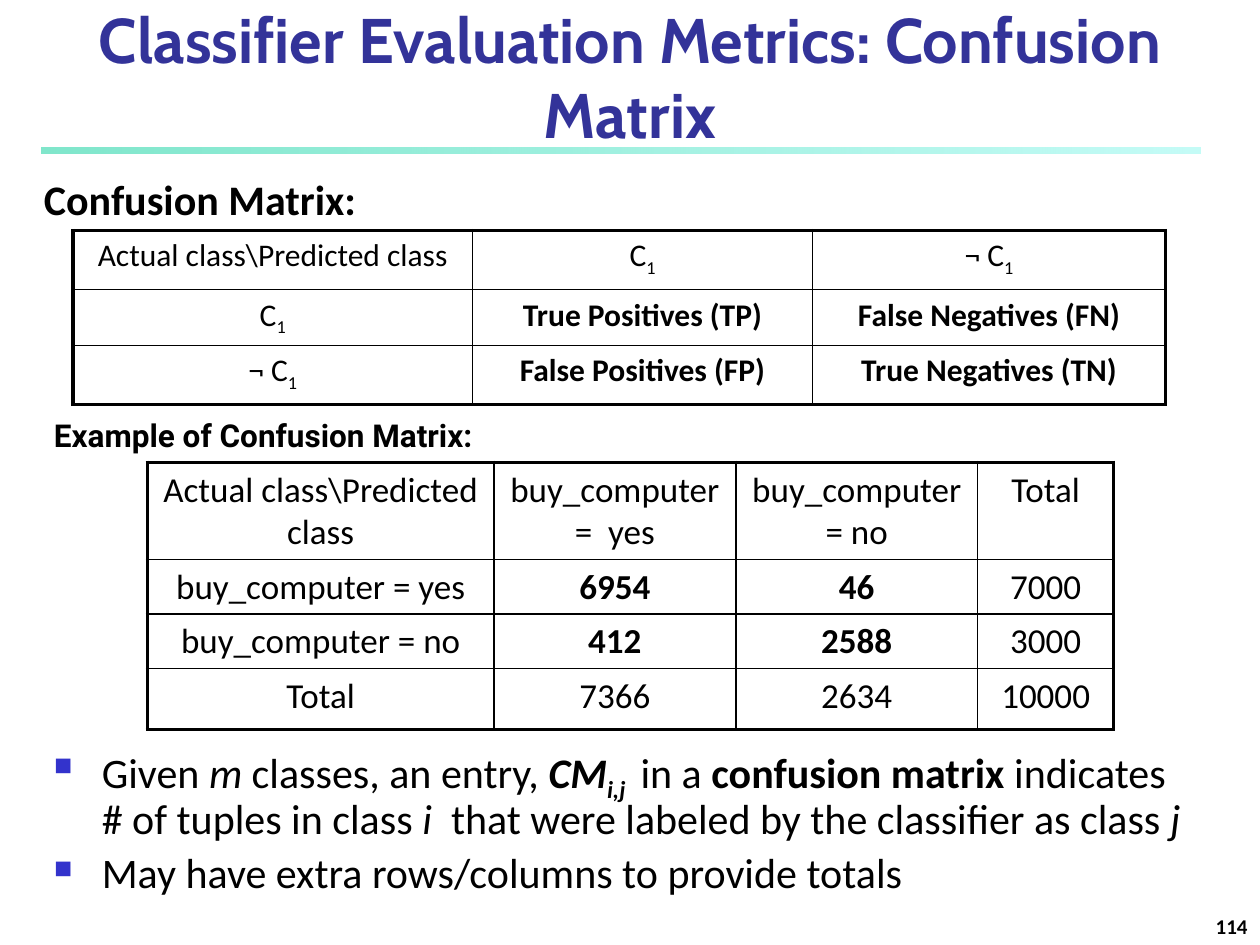
from lxml.etree import SubElement
from pptx import Presentation
from pptx.dml.color import RGBColor
from pptx.enum.shapes import MSO_SHAPE
from pptx.enum.text import MSO_ANCHOR, PP_ALIGN
from pptx.oxml import parse_xml
from pptx.oxml.ns import nsdecls, qn
from pptx.util import Inches, Pt

COLORS = {"text": "000000", "title": "333399", "bullet": "3333CC",
          "bar_start": "00CE98", "bar_end": "8FF9EF"}

# Each paragraph is a list of (text, style): b bold, i italic, s subscript
C1 = [("C", ""), ("1", "s")]
NOT_C1 = [("¬ C", ""), ("1", "s")]
MATRIX = [
    [[("Actual class\\Predicted class", "")], C1, NOT_C1],
    [C1, [("True Positives (TP)", "b")], [("False Negatives (FN)", "b")]],
    [NOT_C1, [("False Positives (FP)", "b")], [("True Negatives (TN)", "b")]],
]
EXAMPLE = [
    [[("Actual class\\Predicted class", "")], [("buy_computer =  yes", "")],
     [("buy_computer = no", "")], [("Total", "")]],
    [[("buy_computer = yes", "")], [("6954", "b")], [("46", "b")], [("7000", "")]],
    [[("buy_computer = no", "")], [("412", "b")], [("2588", "b")], [("3000", "")]],
    [[("Total", "")], [("7366", "")], [("2634", "")], [("10000", "")]],
]
TABLES = [
    (MATRIX, 0.58, 1.83, [3.17, 2.7, 2.8], [0.47, 0.42, 0.47], 18),
    (EXAMPLE, 1.17, 3.67, [2.75, 1.92, 1.92, 1.08], [0.77, 0.43, 0.43, 0.48], 20),
]
BULLETS = [
    [("Given", ""), (" m", "i"), (" classes, an entry, ", ""), ("CM", "bi"),
     ("i,j ", "bis"), (" in a ", ""), ("confusion matrix", "b"),
     (" indicates # of tuples in class ", ""), ("i", "i"),
     ("  that were labeled by the classifier as class ", ""), ("j", "i")],
    [("May have extra rows/columns to provide totals", "")],
]
LEFT, CENTER, RIGHT = PP_ALIGN.LEFT, PP_ALIGN.CENTER, PP_ALIGN.RIGHT
TOP, BOTTOM = MSO_ANCHOR.TOP, MSO_ANCHOR.BOTTOM
LABELS = [
    ("Classifier Evaluation Metrics: Confusion Matrix", (0, 0, 10, 1.25),
     36, "Cabin", "title", CENTER, BOTTOM, True),
    ("Confusion Matrix:", (0.25, 1.33, 2.85, 0.5),
     24, "Calibri", "text", LEFT, TOP, True),
    ("Example of Confusion Matrix:", (0.33, 3.25, 3.9, 0.4),
     18, "Roboto", "text", LEFT, TOP, False),
    ("114", (7.92, 7.08, 2.08, 0.42),
     12, "Calibri", "text", RIGHT, BOTTOM, True),
]


def write(paragraph, spans, size, font="Calibri", color="text"):
    for text, style in spans:
        span = paragraph.add_run()
        span.text = text
        span.font.size = Pt(size)
        span.font.name = font
        span.font.bold = "b" in style
        span.font.italic = "i" in style
        span.font.color.rgb = RGBColor.from_string(COLORS[color])
        if "s" in style:
            span.font._element.set("baseline", "-25000")


def add_box(page, place, anchor=TOP, wrap=True):
    box = page.shapes.add_textbox(*map(Inches, place))
    box.text_frame.word_wrap = wrap
    box.text_frame.vertical_anchor = anchor
    return box.text_frame


def set_borders(cell, widths):
    properties = cell._tc.get_or_add_tcPr()
    for index, (side, width) in enumerate(widths.items()):
        properties.insert(index, parse_xml(
            f'<a:ln{side} {nsdecls("a")} w="{Pt(width)}"><a:solidFill>'
            f'<a:srgbClr val="{COLORS["text"]}"/></a:solidFill></a:ln{side}>'))


def add_grid(page, content, left, top, columns, heights, size):
    table = page.shapes.add_table(
        len(heights), len(columns), Inches(left), Inches(top),
        Inches(sum(columns)), Inches(sum(heights))).table
    table.first_row = table.horz_banding = False
    for column, width in zip(table.columns, columns):
        column.width = Inches(width)
    last_row, last_column = len(heights) - 1, len(columns) - 1
    for r, (row, height) in enumerate(zip(content, heights)):
        table.rows[r].height = Inches(height)
        for c, spans in enumerate(row):
            cell = table.cell(r, c)
            cell.fill.background()
            outer = {"L": c == 0, "R": c == last_column,
                     "T": r == 0, "B": r == last_row}
            set_borders(cell, {side: 2.25 if edge else 1
                               for side, edge in outer.items()})
            paragraph = cell.text_frame.paragraphs[0]
            paragraph.alignment = CENTER
            paragraph.space_before = Pt(size * 0.2)
            write(paragraph, spans, size)


def add_bar(page):
    bar = page.shapes.add_shape(
        MSO_SHAPE.RECTANGLE, Inches(0.33), Inches(1.17), Inches(9.2), Inches(0.05))
    bar.shadow.inherit = False
    bar.line.fill.background()
    bar.fill.gradient()
    bar.fill.gradient_angle = 0
    stops = [("bar_start", 0, 50), ("bar_end", 1, 52)]
    for stop, (color, position, opacity) in zip(bar.fill.gradient_stops, stops):
        stop.position = position
        stop.color.rgb = RGBColor.from_string(COLORS[color])
        SubElement(stop._gs[0], qn("a:alpha"), val=str(opacity * 1000))


def add_bullets(page):
    frame = add_box(page, (0.33, 5.88, 9.25, 1.38))
    for index, spans in enumerate(BULLETS):
        paragraph = frame.add_paragraph() if index else frame.paragraphs[0]
        paragraph.line_spacing = 0.9
        paragraph.space_before = Pt(24 * 0.2)
        properties = paragraph._p.get_or_add_pPr()
        properties.set("marL", str(Inches(0.38)))
        properties.set("indent", str(-Inches(0.38)))
        color = SubElement(properties, qn("a:buClr"))
        SubElement(color, qn("a:srgbClr"), val=COLORS["bullet"])
        SubElement(properties, qn("a:buSzPct"), val="60000")
        SubElement(properties, qn("a:buChar"), char="■")
        write(paragraph, spans, 24)


def main():
    deck = Presentation()
    deck.slide_width, deck.slide_height = Inches(10), Inches(7.5)
    page = deck.slides.add_slide(deck.slide_layouts[6])
    add_bar(page)
    for text, place, size, font, color, align, anchor, wrap in LABELS:
        paragraph = add_box(page, place, anchor, wrap).paragraphs[0]
        paragraph.alignment = align
        write(paragraph, [(text, "b")], size, font, color)
    for table in TABLES:
        add_grid(page, *table)
    add_bullets(page)
    deck.save("out.pptx")


if __name__ == "__main__":
    main()
